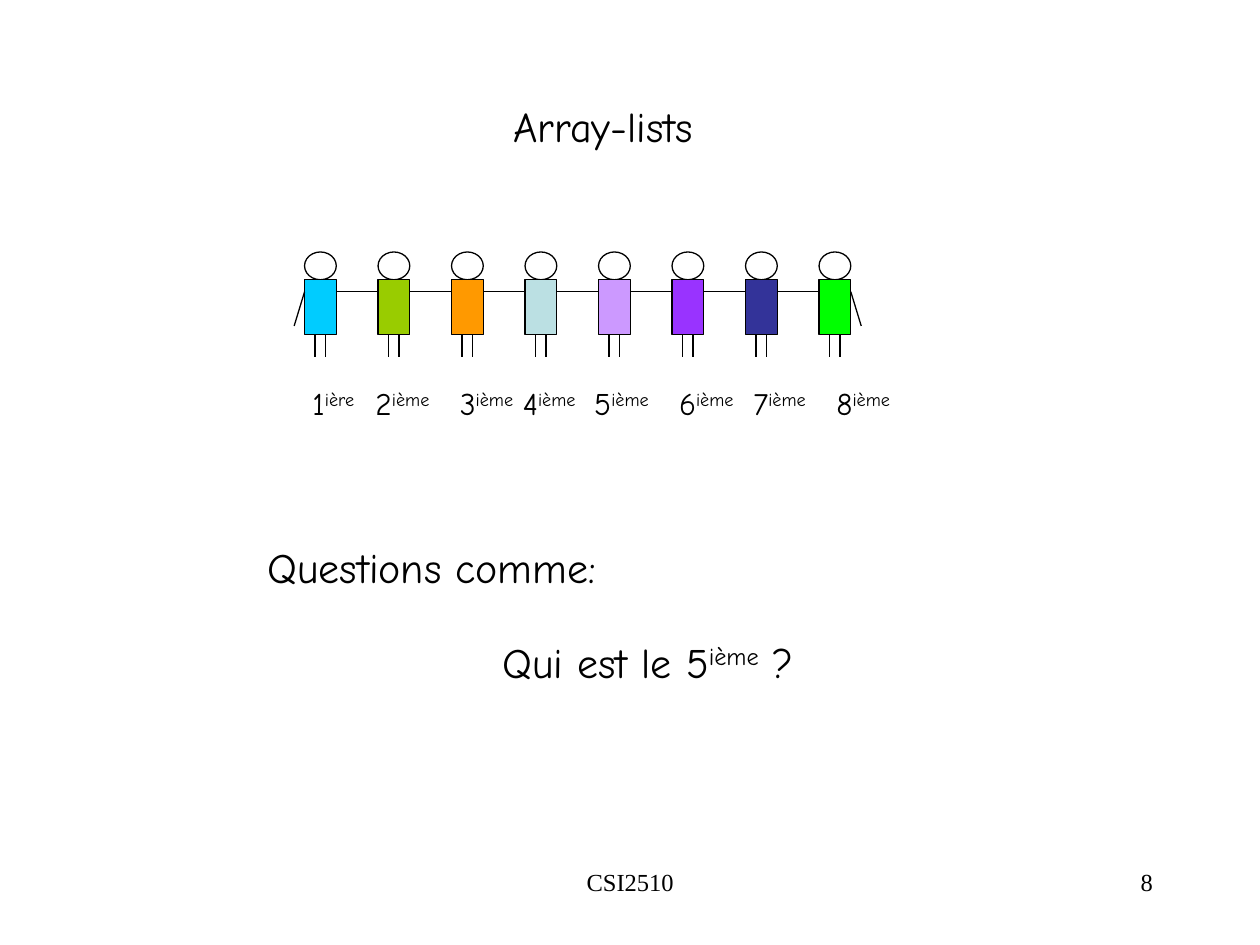
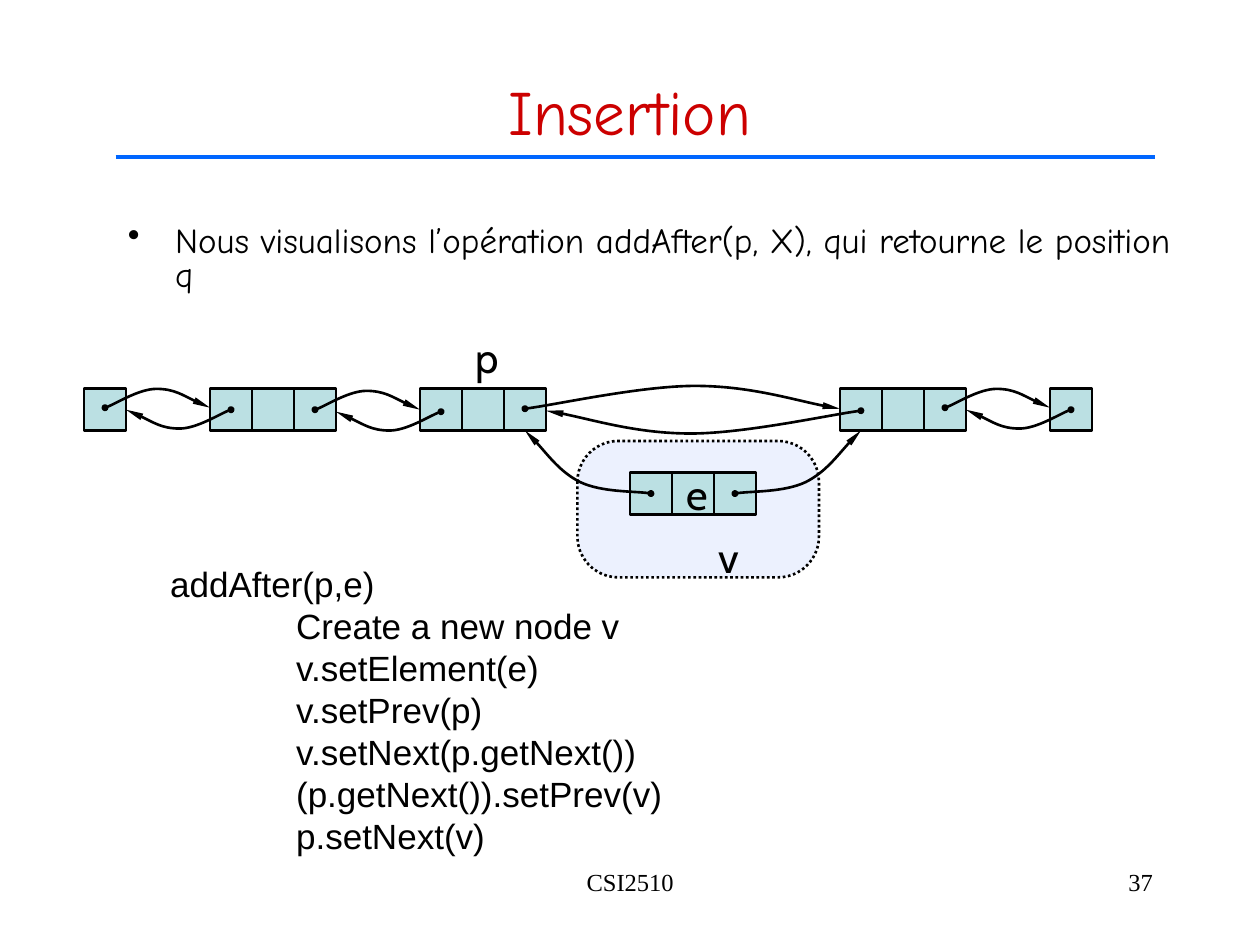
from dataclasses import dataclass

from lxml import etree
from pptx import Presentation
from pptx.dml.color import RGBColor
from pptx.enum.dml import MSO_LINE
from pptx.enum.shapes import MSO_CONNECTOR, MSO_SHAPE
from pptx.enum.text import MSO_ANCHOR, PP_ALIGN
from pptx.oxml.ns import qn
from pptx.util import Cm, Pt

LEFT, CENTER, RIGHT = PP_ALIGN.LEFT, PP_ALIGN.CENTER, PP_ALIGN.RIGHT
TOP, MIDDLE = MSO_ANCHOR.TOP, MSO_ANCHOR.MIDDLE
RECT, OVAL, ROUNDED = MSO_SHAPE.RECTANGLE, MSO_SHAPE.OVAL, MSO_SHAPE.ROUNDED_RECTANGLE
STRAIGHT = MSO_CONNECTOR.STRAIGHT
DOTTED = MSO_LINE.ROUND_DOT


@dataclass(frozen=True)
class Theme:
    ink: str = "000000"
    title: str = "CC0000"
    rule: str = "0066FF"
    node: str = "BBE0E3"
    new_node: str = "ECF1FE"
    shirts: tuple = ("00CCFF", "99CC00", "FF9900", "BBE0E3",
                     "CC99FF", "9933FF", "333399", "00FF00")
    hand: str = "Comic Neue"
    code: str = "Arial"
    label: str = "Cabin"
    footer: str = "Times New Roman"
    title_size: int = 36
    large: int = 24
    body: int = 20
    rank: int = 18
    footer_size: int = 14
    thin: float = 0.75
    medium: float = 1.5
    thick: float = 2


THEME = Theme()

PERSON_PITCH = 17.78 / 12
PERSON_WIDTH = 0.64
FIRST_PERSON = 6.14
RANK_LEFTS = (6.05, 7.32, 9.02, 10.29, 11.73, 13.44, 14.94, 16.61)
RANK_WIDTH = 1.8

CELL = 2.54 / 3
LIST_TOP = 7.83
NEW_NODE_TOP = 9.53
LIST_COLUMNS = (2, 5, 6, 7, 10, 11, 12, 20, 21, 22, 25)
NEW_NODE_COLUMNS = (15, 16, 17)

ARC = ((0.08, 0.13), (0.33, 1), (0.49, 1), (0.66, 1), (0.9, 0.2), (1, 0))
WIDE_ARC = ((0.09, 0.15), (0.37, 1), (0.54, 1), (0.71, 1), (0.9, 0.2), (1, 0))
HOOK = ((0.1, 0.04), (0.39, 0.02), (0.56, 0.18), (0.72, 0.34), (0.91, 0.84), (1, 1))
LINKS = (
    (2.5, 5, 8.22, 0.38, ARC),
    (7.5, 10, 8.26, 0.38, ARC),
    (12.5, 20, 8.24, 0.46, WIDE_ARC),
    (22.5, 25, 8.22, 0.38, ARC),
)

ADD_AFTER = (
    "Create a new node v",
    "v.setElement(e)",
    "v.setPrev(p)",
    "v.setNext(p.getNext())",
    "(p.getNext()).setPrev(v)",
    "p.setNext(v)",
)


def rgb(value):
    return RGBColor.from_string(value)


def add_text(slide, box, paragraphs, size, font, color=THEME.ink,
             align=LEFT, anchor=TOP, wrap=True):
    frame = slide.shapes.add_textbox(*map(Cm, box)).text_frame
    frame.word_wrap = wrap
    frame.vertical_anchor = anchor
    for index, pieces in enumerate(paragraphs):
        paragraph = frame.add_paragraph() if index else frame.paragraphs[0]
        paragraph.alignment = align
        paragraph.font.size = Pt(size)
        paragraph.font.name = font
        paragraph.font.color.rgb = rgb(color)
        for position, piece in enumerate(pieces):
            run = paragraph.add_run()
            run.text = piece
            if position % 2:
                run._r.get_or_add_rPr().set("baseline", "30000")
    return frame


def set_indent(paragraph, left, first=0):
    properties = paragraph._p.get_or_add_pPr()
    properties.set("marL", str(Cm(left)))
    properties.set("indent", str(Cm(first)))
    return properties


def add_bullet(slide, box, text):
    frame = add_text(slide, box, [], THEME.body, THEME.hand)
    paragraph = frame.paragraphs[0]
    properties = set_indent(paragraph, 0.95, -0.95)
    etree.SubElement(properties, qn("a:buChar"), char="•")
    paragraph.line_spacing = 0.8
    paragraph.text = text
    paragraph.font.size = Pt(THEME.body)
    paragraph.font.name = THEME.hand
    paragraph.font.color.rgb = rgb(THEME.ink)


def add_block(slide, kind, box, fill=None, width=THEME.medium):
    block = slide.shapes.add_shape(kind, *map(Cm, box))
    block.shadow.inherit = False
    if fill:
        block.fill.solid()
        block.fill.fore_color.rgb = rgb(fill)
    else:
        block.fill.background()
    block.line.color.rgb = rgb(THEME.ink)
    block.line.width = Pt(width)
    return block


def add_line(slide, start, end, color=THEME.ink, width=THEME.thin):
    line = slide.shapes.add_connector(STRAIGHT, *map(Cm, start + end))
    line.line.color.rgb = rgb(color)
    line.line.width = Pt(width)
    etree.SubElement(line._element.spPr, qn("a:effectLst"))


def add_curved_arrow(slide, start, span, rise, bend):
    x, y = start
    points = [(Cm(x + across * span), Cm(y + up * rise)) for across, up in bend]
    builder = slide.shapes.build_freeform(Cm(x), Cm(y))
    builder.add_line_segments(points, close=False)
    arrow = builder.convert_to_shape()
    arrow.shadow.inherit = False
    arrow.fill.background()
    arrow.line.color.rgb = rgb(THEME.ink)
    arrow.line.width = Pt(THEME.medium)

    segments = list(arrow._element.iter(qn("a:lnTo")))
    for first in range(0, len(segments), 3):
        bezier = etree.Element(qn("a:cubicBezTo"))
        segments[first].addprevious(bezier)
        for segment in segments[first:first + 3]:
            bezier.append(segment[0])
            segment.getparent().remove(segment)

    outline = arrow.line._get_or_add_ln()
    etree.SubElement(outline, qn("a:headEnd"), type="oval", w="sm", len="sm")
    etree.SubElement(outline, qn("a:tailEnd"), type="triangle", w="sm", len="lg")


def add_footer(slide, number):
    for box, text, align in (((8.68, 17.35, 8.05, 1.27), "CSI2510", CENTER),
                             ((18.21, 17.35, 5.28, 1.27), number, RIGHT)):
        add_text(slide, box, [(text,)], THEME.footer_size, THEME.footer, align=align)


def add_person(slide, left, shirt, first, last):
    right = left + PERSON_WIDTH
    add_block(slide, OVAL, (left, 5.08, PERSON_WIDTH, 0.56), width=THEME.thin)
    add_block(slide, RECT, (left, 5.64, PERSON_WIDTH, 1.1), shirt, THEME.thin)
    for leg in (left + 0.21, left + 0.42):
        add_line(slide, (leg, 6.74), (leg, 7.2))
    for shoulder, side, hangs in ((right, 1, last), (left, -1, first)):
        reach, drop = (0.21, 0.69) if hangs else (0.42, 0)
        add_line(slide, (shoulder, 5.88), (shoulder + side * reach, 5.88 + drop))


def add_cells(slide, columns, top):
    for column in columns:
        add_block(slide, RECT, (column * CELL, top, CELL, CELL), THEME.node)


def add_node_label(slide, left, top, letter):
    add_text(slide, (left, top, 1.02, 1.27), [(letter,)],
             THEME.large, THEME.label, align=CENTER)


def build_array_lists(slide):
    add_footer(slide, "8")
    last = len(THEME.shirts) - 1
    for index, shirt in enumerate(THEME.shirts):
        add_person(slide, FIRST_PERSON + index * PERSON_PITCH, shirt,
                   index == 0, index == last)
    for rank, left in enumerate(RANK_LEFTS, 1):
        ending = "ière" if rank == 1 else "ième"
        add_text(slide, (left, 7.62, RANK_WIDTH, 1.02), [(str(rank), ending)],
                 THEME.rank, THEME.hand)
    for box, pieces in (
        ((9.88, 12.7, 6.8, 1.27), ("Qui est le 5", "ième", " ?")),
        ((5.14, 10.8, 7.5, 1.27), ("Questions comme:",)),
        ((10.1, 1.9, 4.5, 1.27), ("Array-lists",)),
    ):
        add_text(slide, box, [pieces], THEME.large, THEME.hand)


def build_insertion(slide):
    add_footer(slide, "37")
    add_text(slide, (1.9, 0.64, 21.59, 3.18), [("Insertion",)], THEME.title_size,
             THEME.hand, THEME.title, CENTER, MIDDLE)
    add_bullet(slide, (2.33, 4.45, 21.8, 1.7),
               "Nous visualisons l’opération addAfter(p, X), qui retourne le position q")
    add_line(slide, (2.33, 3.17), (23.28, 3.17), THEME.rule, THEME.thick)

    add_cells(slide, LIST_COLUMNS, LIST_TOP)
    for start, end, height, lift, bend in LINKS:
        span = (end - start) * CELL
        add_curved_arrow(slide, (start * CELL, height), span, -lift, bend)
        add_curved_arrow(slide, ((end + 0.5) * CELL, height + 0.04), -span, lift, bend)
    add_node_label(slide, 9.32, 6.56, "p")

    new_node = add_block(slide, ROUNDED, (11.64, 8.89, 4.87, 2.75), THEME.new_node)
    new_node.adjustments[0] = 0.3
    new_node.line.dash_style = DOTTED
    add_cells(slide, NEW_NODE_COLUMNS, NEW_NODE_TOP)
    add_node_label(slide, 14.18, 10.58, "v")
    for column, side in ((15.5, -1), (17.5, 1)):
        add_curved_arrow(slide, (column * CELL, 9.95), side * 2.54, -1.27, HOOK)

    code = add_text(slide, (3.18, 11.22, 10.44, 6.2),
                    [("addAfter(p,e)",)] + [(step,) for step in ADD_AFTER],
                    THEME.body, THEME.code, wrap=False)
    for step in code.paragraphs[1:]:
        set_indent(step, 2.54)
    add_node_label(slide, 13.55, 9.31, "e")


def main():
    deck = Presentation()
    deck.slide_width, deck.slide_height = Cm(25.4), Cm(19.05)
    blank = deck.slide_layouts[6]
    for build in (build_array_lists, build_insertion):
        build(deck.slides.add_slide(blank))
    deck.save("out.pptx")


if __name__ == "__main__":
    main()
